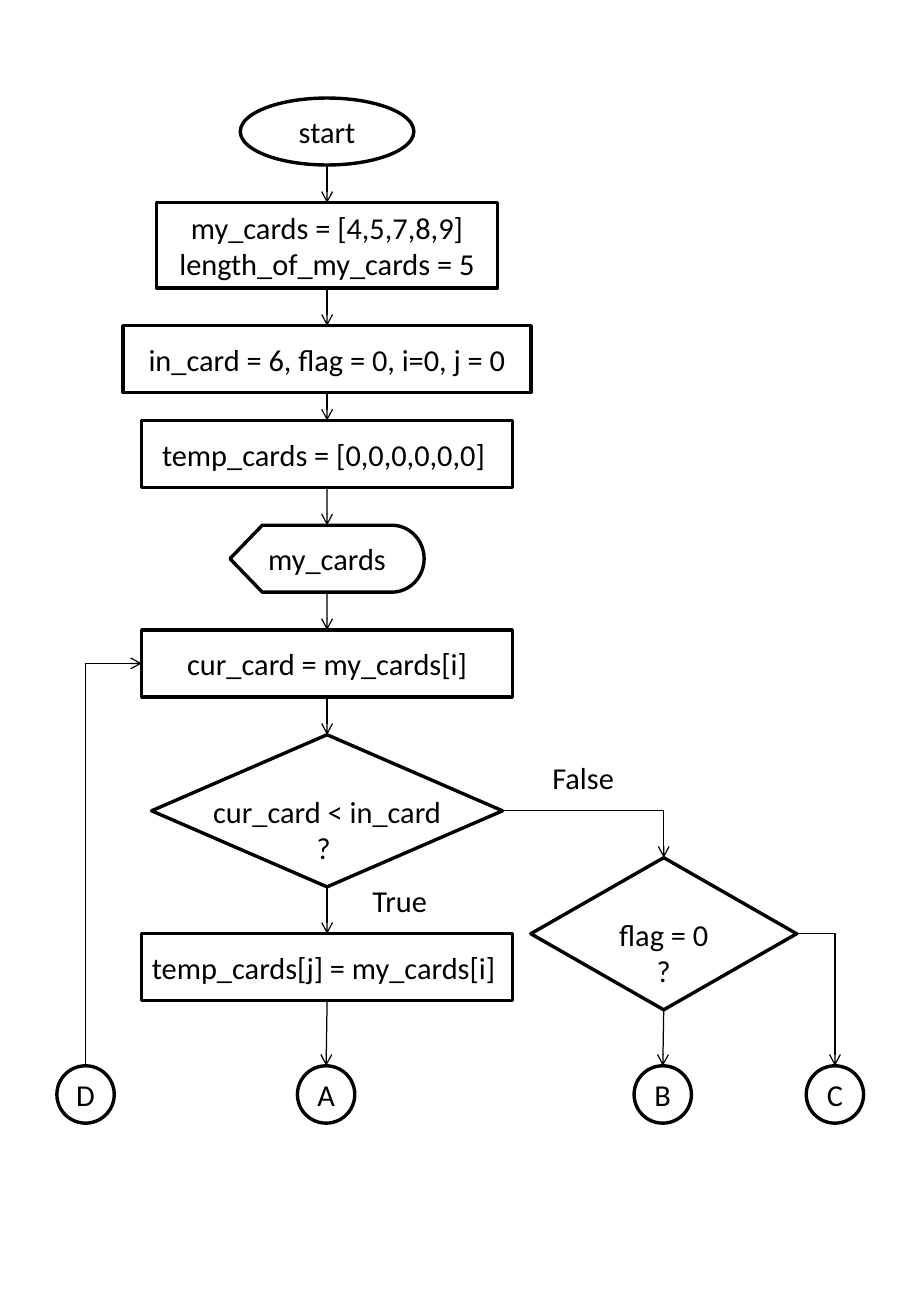
import pptx
import pptx.util
import pptx.dml.color
import pptx.enum.shapes
import pptx.enum.text
import pptx.oxml.ns
import lxml.etree

Cm, Pt = pptx.util.Cm, pptx.util.Pt
qn = pptx.oxml.ns.qn
KIND = pptx.enum.shapes.MSO_SHAPE
LINK = pptx.enum.shapes.MSO_CONNECTOR
TEXT = pptx.enum.text

# Share of width, share of height and connection site of each side
SIDES = {"top": (0.5, 0, 0), "left": (0, 0.5, 1),
         "bottom": (0.5, 1, 2), "right": (1, 0.5, 3)}


def colour(hex_value):
    """Turn a hex string into a colour."""
    return pptx.dml.color.RGBColor.from_string(hex_value)


def assign(target, values):
    """Set every attribute named in values."""
    for name, value in values.items():
        setattr(target, name, value)


class Flowchart:
    """Holds the style and the slide, and draws the flowchart elements."""

    ink, paper = "000000", "FFFFFF"
    font = {"name": "Calibri", "size": Pt(18)}
    outline, arrow_width = Pt(2), Pt(0.75)
    centred = {"word_wrap": False, "vertical_anchor": TEXT.MSO_ANCHOR.MIDDLE}
    label_frame = {"word_wrap": False,
                   "auto_size": TEXT.MSO_AUTO_SIZE.SHAPE_TO_FIT_TEXT}

    def __init__(self, slide):
        """Keep the slide to draw on."""
        self.slide = slide

    def fill_text(self, frame, text, frame_format, align):
        """Fill a text frame, one paragraph for each line."""
        assign(frame, frame_format)
        frame.text = text
        for paragraph in frame.paragraphs:
            paragraph.alignment = align
            for run in paragraph.runs:
                assign(run.font, self.font)
                run.font.color.rgb = colour(self.ink)

    def node(self, kind, text, center, top, width, height):
        """Draw an outlined step centred on a vertical axis."""
        step = self.slide.shapes.add_shape(
            kind, Cm(center - width / 2), Cm(top), Cm(width), Cm(height))
        step.shadow.inherit = False
        step.fill.solid()
        step.fill.fore_color.rgb = colour(self.paper)
        step.line.width = self.outline
        step.line.color.rgb = colour(self.ink)
        frame_format = dict(self.centred)
        if kind == KIND.FLOWCHART_DECISION:
            frame_format["margin_top"] = Cm(0.9)
        self.fill_text(step.text_frame, text, frame_format,
                       TEXT.PP_ALIGN.CENTER)
        return step

    def label(self, text, left, top, width):
        """Name a branch."""
        box = self.slide.shapes.add_textbox(
            Cm(left), Cm(top), Cm(width), Cm(1.02))
        self.fill_text(box.text_frame, text, self.label_frame,
                       TEXT.PP_ALIGN.LEFT)

    def port(self, step, side):
        """Give the point and the connection site on a side of a step."""
        across, down, site = SIDES[side]
        if step.auto_shape_type == KIND.OVAL and side == "bottom":
            site = 4
        return (step.left + int(step.width * across),
                step.top + int(step.height * down), site)

    def arrow(self, source, target, leave="bottom", enter="top", turn=False):
        """Join two steps; a turning arrow leaving upwards is rotated."""
        x1, y1, leave_site = self.port(source, leave)
        x2, y2, enter_site = self.port(target, enter)
        upwards = turn and leave == "top"
        if upwards:
            mid_x, mid_y = (x1 + x2) // 2, (y1 + y2) // 2
            half_run, half_rise = abs(x2 - x1) // 2, abs(y2 - y1) // 2
            x1, y1 = mid_x + half_rise, mid_y + half_run
            x2, y2 = mid_x - half_rise, mid_y - half_run
        link = self.slide.shapes.add_connector(
            LINK.ELBOW if turn else LINK.STRAIGHT, x1, y1, x2, y2)
        link.line.width = self.arrow_width
        link.line.color.rgb = colour(self.ink)
        props = link.element.spPr
        if turn:
            props.find(qn("a:prstGeom")).set("prst", "bentConnector2")
        if upwards:
            props.find(qn("a:xfrm")).set("rot", "5400000")
        lxml.etree.SubElement(
            props.find(qn("a:ln")), qn("a:tailEnd"), type="arrow")
        lxml.etree.SubElement(props, qn("a:effectLst"))
        joints = next(link.element.iter(qn("p:cNvCxnSpPr")))
        for tag, step, site in (("a:stCxn", source, leave_site),
                                ("a:endCxn", target, enter_site)):
            lxml.etree.SubElement(joints, qn(tag), id=str(step.shape_id),
                                  idx=str(site))


deck = pptx.Presentation()
assign(deck, {"slide_width": Cm(19.05), "slide_height": Cm(27.51)})
chart = Flowchart(deck.slides.add_slide(deck.slide_layouts[6]))

# Main column: kind, text, width, height, gap to the next step
SPINE, ROW, TALL, GAP = 6.84, 1.4, 3.18, 0.79
STEPS = [
    (KIND.OVAL, "start", 3.63, ROW, GAP),
    (KIND.RECTANGLE, "my_cards = [4,5,7,8,9]\nlength_of_my_cards = 5",
     7.14, 1.78, GAP),
    (KIND.RECTANGLE, "in_card = 6, flag = 0, i=0, j = 0", 8.53, ROW, 0.58),
    (KIND.RECTANGLE, "temp_cards = [0,0,0,0,0,0] ", 7.75, ROW, GAP),
    (KIND.FLOWCHART_DISPLAY, "my_cards", 4.06, ROW, GAP),
    (KIND.RECTANGLE, "cur_card = my_cards[i]", 7.75, ROW, GAP),
    (KIND.FLOWCHART_DECISION, "cur_card < in_card\n? ", 7.34, TALL, 0.98),
    (KIND.RECTANGLE, "temp_cards[j] = my_cards[i] ", 7.75, ROW, 0),
]
column, top = [], 2.05
for kind, text, width, height, gap in STEPS:
    column.append(chart.node(kind, text, SPINE, top, width, height))
    top += height + gap
read_card, compare, store_card = column[-3:]
check_flag = chart.node(KIND.FLOWCHART_DECISION, "flag = 0\n?",
                        13.88, 17.93, 5.56, TALL)
exits = {name: chart.node(KIND.OVAL, name, center, 22.28, 1.2, 1.2)
         for name, center in (("A", 6.82), ("B", 13.86),
                              ("C", 17.46), ("D", 1.79))}

for source, target in zip(column, column[1:]):
    chart.arrow(source, target)
chart.arrow(store_card, exits["A"])
chart.arrow(check_flag, exits["B"])
chart.arrow(compare, check_flag, leave="right", turn=True)
chart.arrow(check_flag, exits["C"], leave="right", turn=True)
chart.arrow(exits["D"], read_card, leave="top", enter="left", turn=True)

chart.label("True", 7.54, 18.31, 1.68)
chart.label("False", 11.3, 15.75, 1.8)

deck.save("out.pptx")
